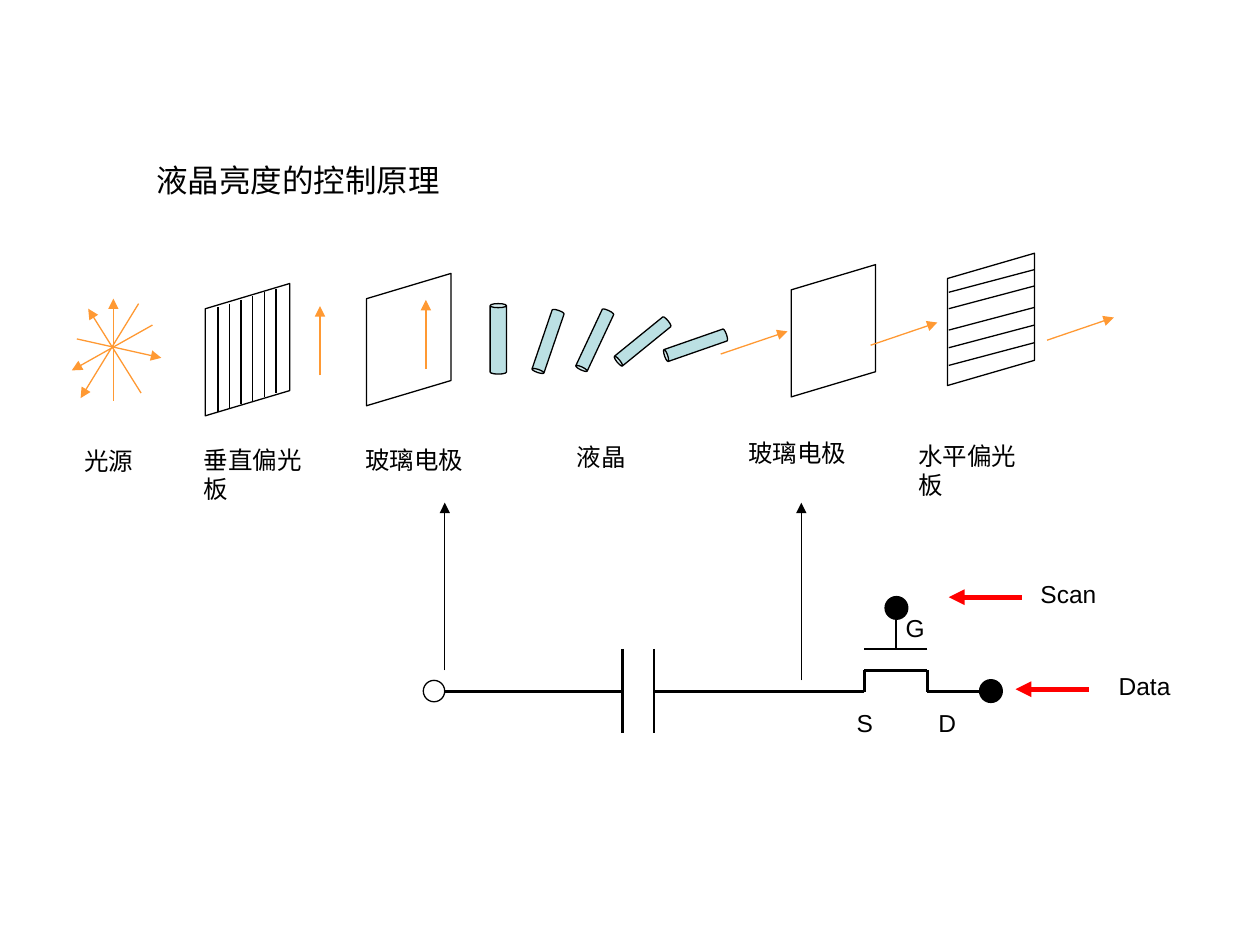
import pptx
import pptx.dml.color
import pptx.enum.shapes
import pptx.enum.text
import pptx.oxml.ns
import pptx.util
from lxml import etree

RGBColor = pptx.dml.color.RGBColor
MSO_SHAPE = pptx.enum.shapes.MSO_SHAPE
qn = pptx.oxml.ns.qn

PX = 9144
FONT = "Arial"
BLACK = RGBColor(0x00, 0x00, 0x00)
ORANGE = RGBColor(0xFF, 0x99, 0x33)
RED = RGBColor(0xFF, 0x00, 0x00)
CRYSTAL = RGBColor(0xBB, 0xE0, 0xE3)


def emu(*lengths):
    """Turn px lengths into EMU."""
    return [pptx.util.Emu(round(length * PX)) for length in lengths]


def add_line(shapes, start, end, color=BLACK, width=0.75, arrow=False):
    """Draw a straight line, with an arrowhead at its end if wanted."""
    connector = shapes.add_connector(
        pptx.enum.shapes.MSO_CONNECTOR.STRAIGHT, *emu(*start, *end))
    connector.line.color.rgb = color
    connector.line.width = pptx.util.Pt(width)
    if arrow:
        etree.SubElement(connector.line._get_or_add_ln(), qn("a:tailEnd"), type="triangle")
    etree.SubElement(connector._element.spPr, qn("a:effectLst"))


def add_outline(shapes, kind, box, fill=None, width=0.75):
    """Add a black-edged preset shape."""
    shape = shapes.add_shape(kind, *emu(*box))
    shape.shadow.inherit = False
    if fill is None:
        shape.fill.background()
    else:
        shape.fill.solid()
        shape.fill.fore_color.rgb = fill
    shape.line.color.rgb = BLACK
    shape.line.width = pptx.util.Pt(width)
    return shape


def format_text(text_frame, size):
    """Set the font of every run in a text frame."""
    for paragraph in text_frame.paragraphs:
        paragraph.alignment = pptx.enum.text.PP_ALIGN.LEFT
        for run in paragraph.runs:
            run.font.name = FONT
            run.font.size = pptx.util.Pt(size)
            run.font.color.rgb = BLACK


def add_label(shapes, text, left, top, width):
    """Add a one-line label."""
    text_frame = shapes.add_textbox(*emu(left, top, width, 34)).text_frame
    text_frame.text = text
    text_frame.word_wrap = False
    text_frame.auto_size = pptx.enum.text.MSO_AUTO_SIZE.SHAPE_TO_FIT_TEXT
    format_text(text_frame, 14)


def add_title(slide, left, top, width, height):
    """Place the slide title."""
    title = slide.shapes.title
    title.left, title.top, title.width, title.height = emu(left, top, width, height)
    text_frame = title.text_frame
    text_frame.text = "液晶亮度的控制原理"
    text_frame.word_wrap = True
    text_frame.auto_size = pptx.enum.text.MSO_AUTO_SIZE.NONE
    text_frame.vertical_anchor = pptx.enum.text.MSO_ANCHOR.TOP
    format_text(text_frame, 18)


def add_light_source(shapes, left, top):
    """Draw the rays leaving the light source."""
    rays = [((53, 4), (7, 79)), ((55, 75), (13, 8)), ((64, 21), (0, 57)),
            ((4, 32), (71, 47)), ((33, 81), (33, 0))]
    for (x1, y1), (x2, y2) in rays:
        add_line(shapes, (left + x1, top + y1), (left + x2, top + y2), ORANGE, arrow=True)


def add_panel(shapes, left, top, width=67, height=105):
    """Draw an upright panel seen at an angle, filling the given box."""
    shift = (height - width) / 2
    panel = add_outline(shapes, MSO_SHAPE.PARALLELOGRAM,
                        (left - shift, top + shift, height, width))
    panel.adjustments[0] = 20 / width
    panel.rotation = 90
    panel._element.spPr.find(qn("a:xfrm")).set("flipH", "1")


def add_vertical_polarizer(slide, left, top):
    """Draw the panel with upright slits."""
    shapes = slide.shapes.add_group_shape().shapes
    add_panel(shapes, left, top)
    for index in range(6):
        x = left + 10 + 9.2 * index
        y = top + 19 - 3 * index
        add_line(shapes, (x, y), (x, y + 83))


def add_horizontal_polarizer(shapes, left, top):
    """Draw the panel with level slits."""
    add_panel(shapes, left, top, width=69)
    for offset in (13, 26, 43, 57, 71):
        add_line(shapes, (left + 1, top + offset + 18), (left + 69, top + offset))


def add_crystals(shapes, left, top):
    """Draw the liquid crystal rods turning from upright to level."""
    rods = [(0, 0, 13, 56, 0), (41, 4, 10, 52, 198.8), (78, 3, 10, 52, 205.1),
            (116, 4, 10, 52, 230.9), (158, 7, 10, 52, 250.8)]
    for x, y, width, height, angle in rods:
        rod = add_outline(shapes, MSO_SHAPE.CAN, (left + x, top + y, width, height), CRYSTAL)
        rod.adjustments[0] = 0.25
        rod.rotation = angle


def add_light_arrows(shapes):
    """Draw the light passing between the panels."""
    for x, y in ((254, 298), (338, 293)):
        add_line(shapes, (x, y), (x, y - 55), ORANGE, arrow=True)
    for x, y in ((572, 281), (691, 274), (831, 270)):
        add_line(shapes, (x, y), (x + 53, y - 18), ORANGE, arrow=True)


def add_circuit(slide, left, top):
    """Draw the capacitor and transistor that drive the electrodes."""
    shapes = slide.shapes.add_group_shape().shapes
    wires = [((375, 8), (375, 41)), ((400, 41), (350, 41)), ((400, 58), (400, 75)),
             ((400, 58), (350, 58)), ((350, 58), (350, 75)), ((450, 75), (400, 75)),
             ((350, 75), (183, 75)), ((158, 75), (17, 75)),
             ((183, 41), (183, 108)), ((158, 41), (158, 108))]
    for (x1, y1), (x2, y2) in wires:
        add_line(shapes, (left + x1, top + y1), (left + x2, top + y2), width=1.5)
    for x, y, fill, width in ((367, 0, BLACK, 1.5), (442, 66, BLACK, 1.5), (0, 66, None, 0.75)):
        add_outline(shapes, MSO_SHAPE.OVAL, (left + x, top + y, 17, 17), fill, width)
    for text, x, y in (("G", 373, 8), ("D", 399, 83), ("S", 334, 83)):
        add_label(shapes, text, left + x, top + y, 34)


def add_signal(shapes, text, left, top, label_left, label_width):
    """Draw a red arrow into the circuit with its name."""
    add_line(shapes, (left + 58, top), (left, top), RED, 3, arrow=True)
    add_label(shapes, text, label_left, top - 19, label_width)


def main():
    """Build the slide and save it."""
    presentation = pptx.Presentation()
    presentation.slide_width, presentation.slide_height = emu(1000, 750)
    slide = presentation.slides.add_slide(presentation.slide_layouts[5])
    shapes = slide.shapes

    add_title(slide, 114, 123, 486, 40)
    add_light_source(shapes, 57, 237)
    add_vertical_polarizer(slide, 163, 225)
    add_panel(shapes, 291, 217)
    add_panel(shapes, 628, 210)
    add_crystals(shapes, 389, 241)
    add_horizontal_polarizer(shapes, 752, 201)
    add_light_arrows(shapes)

    labels = [("光源", 57, 349, 59), ("垂直偏光板", 152, 348, 117), ("玻璃电极", 280, 348, 98),
              ("液晶", 448, 346, 59), ("玻璃电极", 584, 343, 98), ("水平偏光板", 719, 345, 117)]
    for text, left, top, width in labels:
        add_label(shapes, text, left, top, width)

    for x, y in ((353, 532), (636, 540)):
        add_line(shapes, (x, y), (x, 399), arrow=True)
    add_circuit(slide, 336, 474)
    add_signal(shapes, "Scan", 753, 474, 816, 70)
    add_signal(shapes, "Data", 806, 547, 878, 66)
    presentation.save("out.pptx")


if __name__ == "__main__":
    main()
